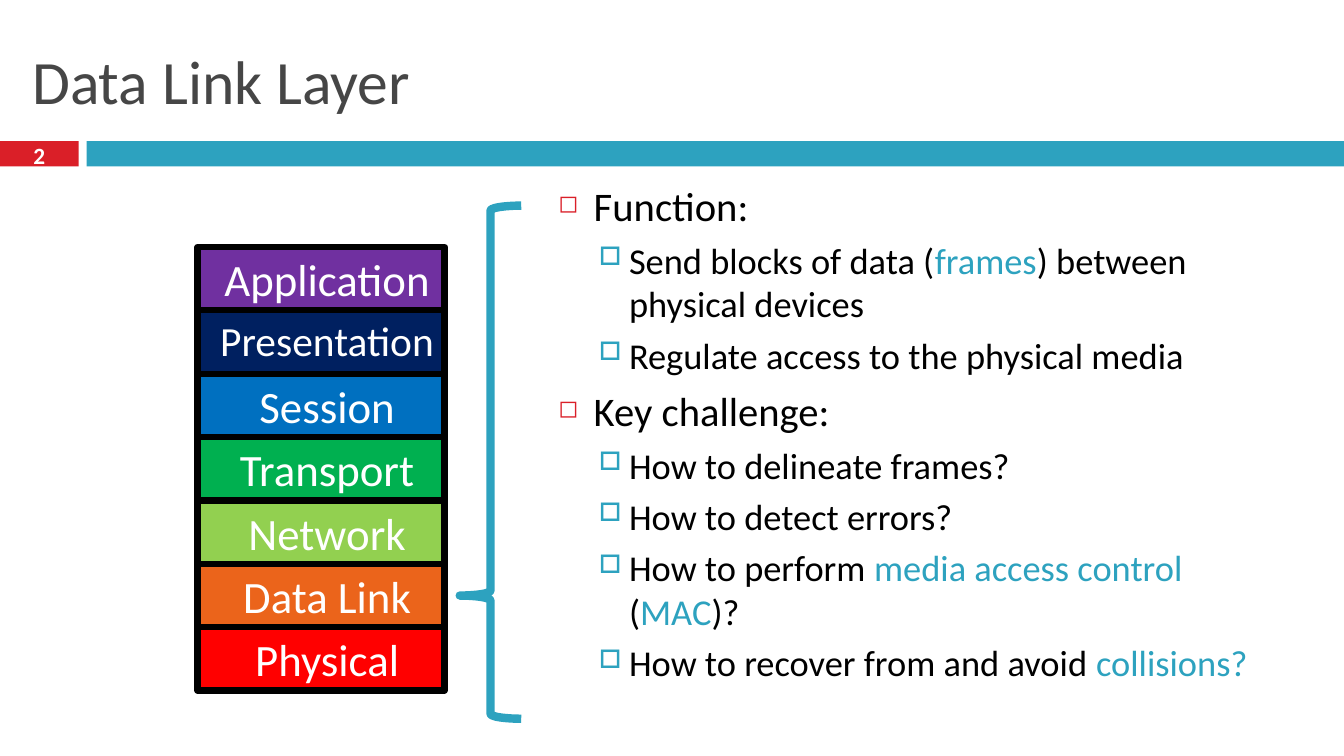
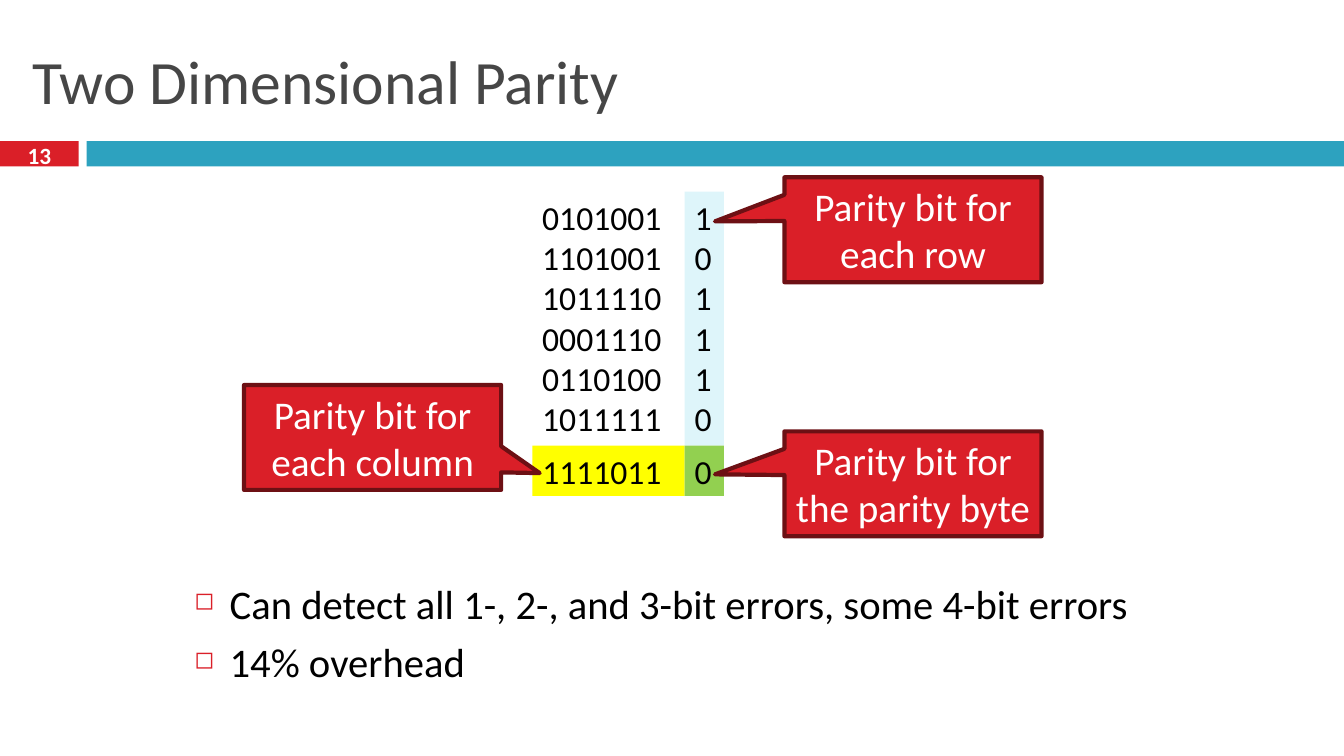
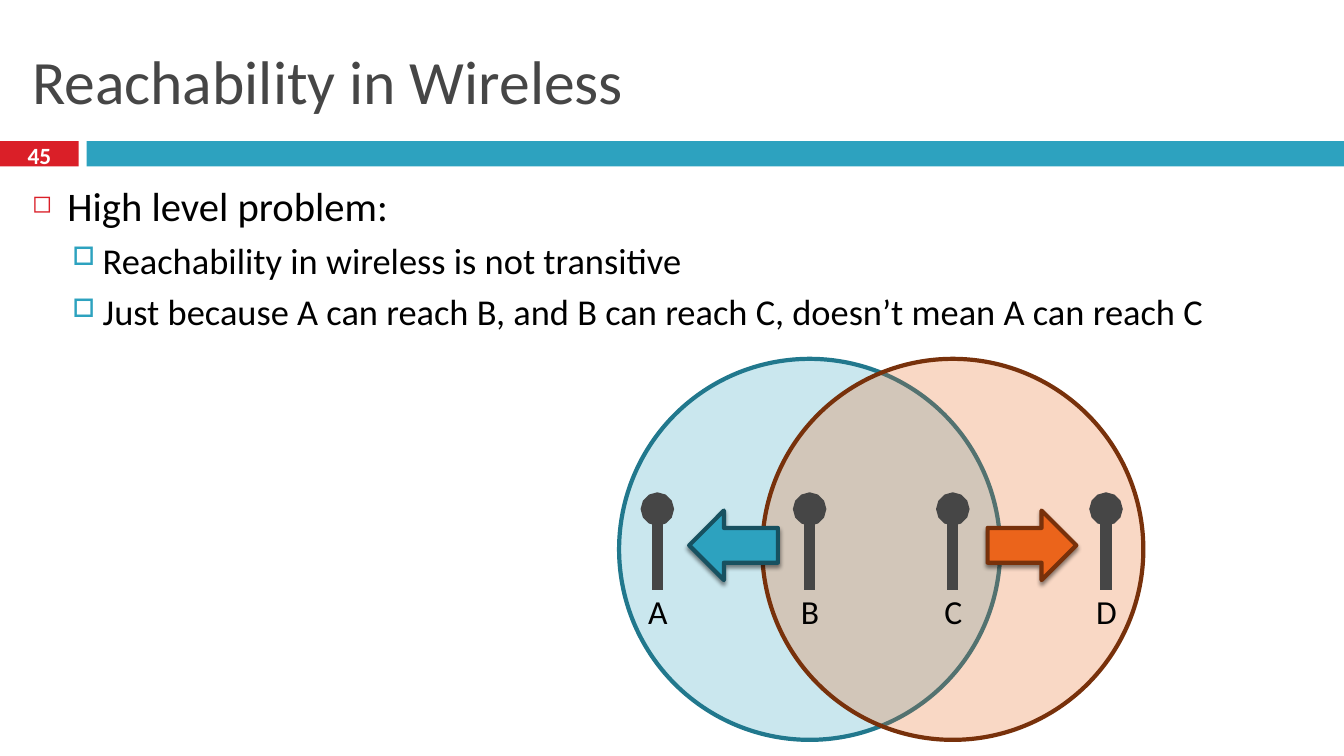
"""Build three lecture slides about the data link layer."""
from lxml.etree import SubElement
from pptx import Presentation
from pptx.dml.color import RGBColor
from pptx.enum.shapes import MSO_CONNECTOR, MSO_SHAPE
from pptx.enum.text import MSO_ANCHOR, PP_ALIGN
from pptx.oxml.ns import qn
from pptx.util import Inches, Pt

FONT = "Calibri"
COLORS = {
    "black": "000000", "white": "FFFFFF", "grey": "464646",
    "red": "DA1F28", "dark_red": "6D1014", "teal": "2DA2BF",
    "mid_teal": "21788D", "dark_teal": "175160", "pale_teal": "DEF5FA",
    "orange": "EB641B", "brown": "78310B", "yellow": "FFFF00",
    "purple": "7030A0", "navy": "002060", "blue": "0070C0",
    "green": "00B050", "lime": "92D050", "bright_red": "FF0000",
}
BULLETS = [
    {"char": "◻", "color": "red", "scale": 60, "left": 0.35, "hang": 0.35, "before": 7, "size": 29},
    {"char": "□", "color": "teal", "scale": 70, "left": 0.7, "hang": 0.3, "before": 5.5, "size": 26},
]


def rgb(name):
    return RGBColor.from_string(COLORS[name])


class Deck:
    def __init__(self):
        self.deck = Presentation()
        self.deck.slide_width = Inches(13.33)
        self.deck.slide_height = Inches(7.5)
        self.page = None

    def new_page(self, title, number):
        self.page = self.deck.slides.add_slide(self.deck.slide_layouts[6])
        self.shape(MSO_SHAPE.RECTANGLE, 0, 1.4, 0.78, 0.25, "red")
        self.shape(MSO_SHAPE.RECTANGLE, 0.86, 1.4, 12.47, 0.25, "teal")
        self.text(0.22, 0.25, 12.89, 1.08, [title], 44, "grey", anchor=MSO_ANCHOR.MIDDLE)
        self.text(0, 1.37, 0.78, 0.33, [number], 16.6, "white", PP_ALIGN.CENTER,
                  MSO_ANCHOR.MIDDLE, bold=True)

    def span(self, para, words, size, color, bold=False):
        span = para.add_run()
        span.text = words
        span.font.name = FONT
        span.font.size = Pt(size)
        span.font.bold = bold
        span.font.color.rgb = rgb(color)

    def paragraphs(self, frame, count):
        frame.word_wrap = True
        return [frame.paragraphs[0]] + [frame.add_paragraph() for _ in range(count - 1)]

    def fill_text(self, box, lines, size, color, align=PP_ALIGN.LEFT,
                  anchor=MSO_ANCHOR.TOP, bold=False):
        box.text_frame.vertical_anchor = anchor
        for para, line in zip(self.paragraphs(box.text_frame, len(lines)), lines):
            para.alignment = align
            self.span(para, line, size, color, bold)

    def text(self, left, top, width, height, lines, size, color="black", *style, **options):
        box = self.page.shapes.add_textbox(*map(Inches, (left, top, width, height)))
        self.fill_text(box, lines, size, color, *style, **options)

    def bullets(self, left, top, width, height, items):
        box = self.page.shapes.add_textbox(*map(Inches, (left, top, width, height)))
        for para, (level, *spans) in zip(self.paragraphs(box.text_frame, len(items)), items):
            style = BULLETS[level]
            para.level = level
            para.space_before = Pt(style["before"])
            props = para._p.get_or_add_pPr()
            props.set("marL", str(Inches(style["left"])))
            props.set("indent", str(-Inches(style["hang"])))
            tint = SubElement(props, qn("a:buClr"))
            SubElement(tint, qn("a:srgbClr"), val=COLORS[style["color"]])
            SubElement(props, qn("a:buSzPct"), val=str(style["scale"] * 1000))
            SubElement(props, qn("a:buChar"), char=style["char"])
            for index, words in enumerate(spans):
                self.span(para, words, style["size"], "teal" if index % 2 else "black")

    def shape(self, kind, left, top, width, height, fill=None, line=None, weight=3, alpha=None):
        shape = self.page.shapes.add_shape(kind, *map(Inches, (left, top, width, height)))
        shape.shadow.inherit = False
        if fill:
            shape.fill.solid()
            shape.fill.fore_color.rgb = rgb(fill)
        else:
            shape.fill.background()
        if line:
            shape.line.color.rgb = rgb(line)
            shape.line.width = Pt(weight)
        else:
            shape.line.fill.background()
        if alpha:
            tint = shape._element.spPr.find(qn("a:solidFill")).find(qn("a:srgbClr"))
            SubElement(tint, qn("a:alpha"), val=str(alpha * 1000))
        return shape

    def layer(self, top, height, name, color, size):
        box = self.shape(MSO_SHAPE.RECTANGLE, 1.96, top, 2.45, height, color, "black", 4.5)
        box.text_frame.margin_left = Inches(0.17)
        box.text_frame.margin_right = Inches(0.05)
        self.fill_text(box, [name], size, "white", PP_ALIGN.CENTER)

    def bits(self, left, top, width, height, rows, fill=None):
        box = self.shape(MSO_SHAPE.RECTANGLE, left, top, width, height, fill)
        self.fill_text(box, rows, 24, "black")

    def callout(self, left, top, words, tip):
        box = self.shape(MSO_SHAPE.RECTANGULAR_CALLOUT, left, top, 2.55, 1.04, "red", "dark_red")
        box.adjustments[0], box.adjustments[1] = tip
        self.fill_text(box, [words], 28, "white", PP_ALIGN.CENTER)

    def arrow(self, left, rotation, fill, line):
        arrow = self.shape(MSO_SHAPE.UP_ARROW, left, 4.97, 0.69, 0.88, fill, line)
        arrow.rotation = rotation
        effects = arrow._element.spPr.find(qn("a:effectLst"))
        shadow = SubElement(effects, qn("a:outerShdw"), blurRad=str(Pt(3)), dist=str(Pt(2.4)),
                            dir="5400000", rotWithShape="0")
        tint = SubElement(shadow, qn("a:srgbClr"), val=COLORS["black"])
        SubElement(tint, qn("a:alpha"), val="45000")

    def antenna(self, center, name):
        mast = self.page.shapes.add_connector(
            MSO_CONNECTOR.STRAIGHT, *map(Inches, (center, 5.05, center, 5.85)))
        mast.line.color.rgb = rgb("grey")
        mast.line.width = Pt(8)
        SubElement(mast.line._get_or_add_ln(), qn("a:headEnd"), type="oval")
        SubElement(mast._element.spPr, qn("a:effectLst"))
        self.text(center - 0.2, 5.81, 0.41, 0.5, [name], 24, align=PP_ALIGN.CENTER)


def layers_page(deck):
    deck.new_page("Data Link Layer", "2")
    deck.bullets(5.44, 1.75, 7.41, 5.58, [
        (0, "Function:"),
        (1, "Send blocks of data (", "frames", ") between physical devices"),
        (1, "Regulate access to the physical media"),
        (0, "Key challenge:"),
        (1, "How to delineate frames?"),
        (1, "How to detect errors?"),
        (1, "How to perform ", "media access control", " (", "MAC", ")?"),
        (1, "How to recover from and avoid ", "collisions?"),
    ])
    layers = [("Application", "purple", 32), ("Presentation", "navy", 29.6),
              ("Session", "blue", 32), ("Transport", "green", 32), ("Network", "lime", 32),
              ("Data Link", "orange", 32), ("Physical", "bright_red", 32)]
    height = 4.4 / len(layers)
    for index, layer in enumerate(layers):
        deck.layer(2.45 + index * height, height, *layer)
    brace = deck.shape(MSO_SHAPE.LEFT_BRACE, 4.56, 2.04, 0.61, 5.09, None, "teal", 6)
    brace.adjustments[0], brace.adjustments[1] = 0.08, 0.76


def parity_page(deck):
    deck.new_page("Two Dimensional Parity", "13")
    deck.bullets(1.83, 5.69, 9.67, 1.65, [
        (0, "Can detect all 1-, 2-, and 3-bit errors, some 4-bit errors"),
        (0, "14% overhead"),
    ])
    rows = ["0101001", "1101001", "1011110", "0001110", "0110100", "1011111"]
    deck.bits(5.28, 1.9, 1.5, 2.52, rows)
    deck.bits(6.79, 1.9, 0.39, 2.52, list("101110"), "pale_teal")
    deck.bits(5.28, 4.42, 1.51, 0.5, ["1111011"], "yellow")
    deck.bits(6.79, 4.42, 0.39, 0.5, ["0"], "lime")
    deck.callout(7.78, 1.76, "Parity bit for each row", (-0.77, -0.08))
    deck.callout(2.42, 3.82, "Parity bit for each column", (0.65, 0.34))
    deck.callout(7.78, 4.28, "Parity bit for the parity byte", (-0.77, -0.09))


def wireless_page(deck):
    deck.new_page("Reachability in Wireless", "45")
    deck.bullets(0.22, 1.75, 12.89, 5.58, [
        (0, "High level problem:"),
        (1, "Reachability in wireless is not transitive"),
        (1, "Just because A can reach B, and B can reach C, doesn’t mean A can reach C"),
    ])
    for left, fill, line in [(6.14, "teal", "mid_teal"), (7.56, "orange", "brown")]:
        deck.shape(MSO_SHAPE.OVAL, left, 3.56, 3.78, 3.78, fill, line, alpha=25)
    deck.arrow(6.93, 270, "teal", "dark_teal")
    deck.arrow(9.89, 90, "orange", "brown")
    for center, name in zip((6.52, 8.03, 9.45, 10.97), "ABCD"):
        deck.antenna(center, name)


def main():
    deck = Deck()
    layers_page(deck)
    parity_page(deck)
    wireless_page(deck)
    deck.deck.save("out.pptx")


if __name__ == "__main__":
    main()
